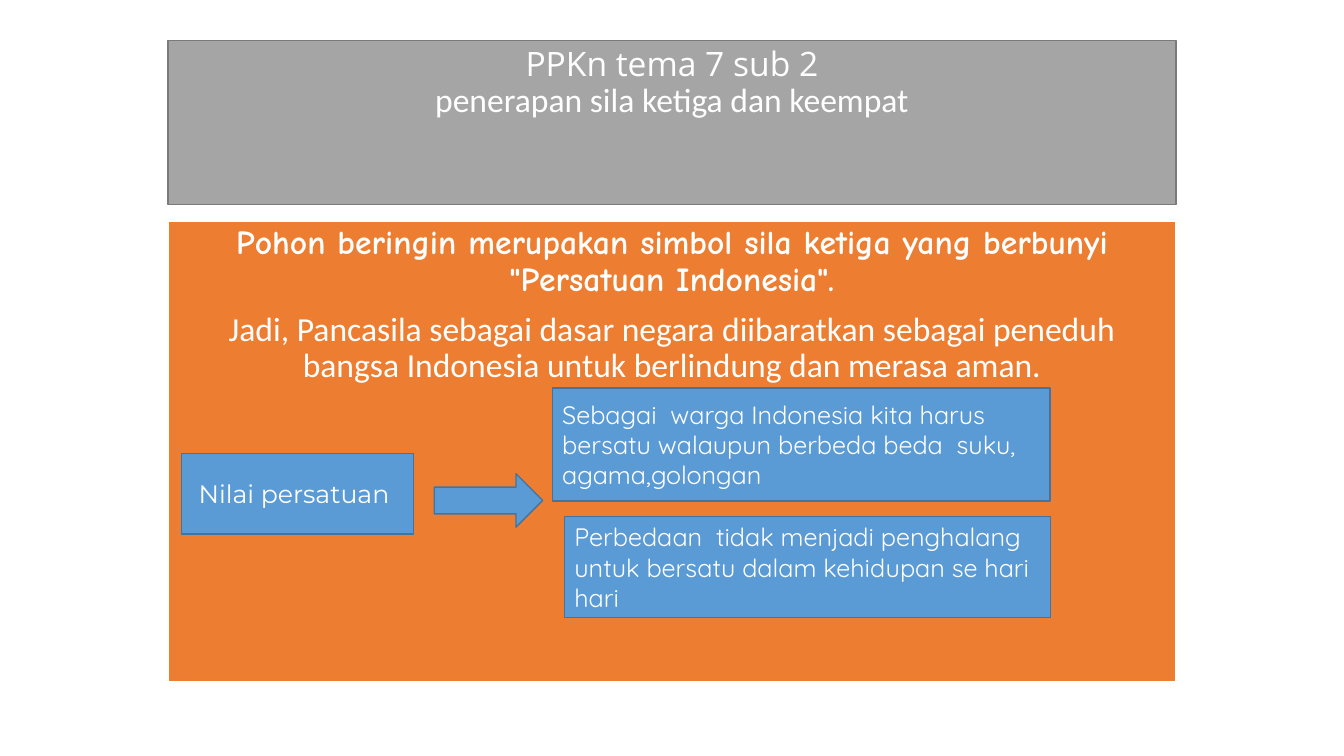
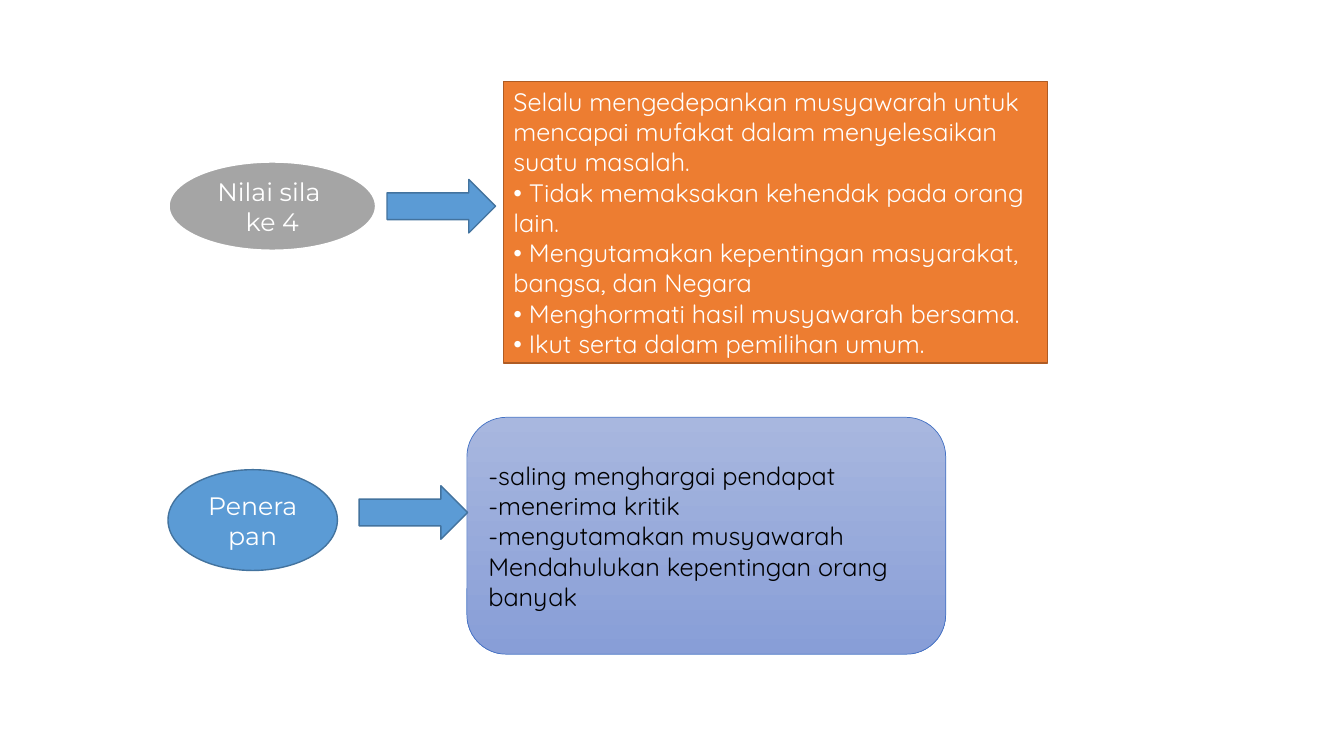
from pptx import Presentation
from pptx.dml.color import RGBColor
from pptx.enum.shapes import MSO_SHAPE
from pptx.enum.text import MSO_ANCHOR, PP_ALIGN
from pptx.util import Pt

RECT = MSO_SHAPE.RECTANGLE
ROUNDED = MSO_SHAPE.ROUNDED_RECTANGLE
ELLIPSE = MSO_SHAPE.OVAL
ARROW = MSO_SHAPE.RIGHT_ARROW
TOP, MIDDLE = MSO_ANCHOR.TOP, MSO_ANCHOR.MIDDLE
LEFT, CENTER = PP_ALIGN.LEFT, PP_ALIGN.CENTER

WHITE = RGBColor(0xFF, 0xFF, 0xFF)
BLACK = RGBColor(0x00, 0x00, 0x00)
GRAY = RGBColor(0xA5, 0xA5, 0xA5)
DARK_GRAY = RGBColor(0x7A, 0x7A, 0x7A)
ORANGE = RGBColor(0xED, 0x7D, 0x31)
DARK_ORANGE = RGBColor(0xAF, 0x5C, 0x24)
BLUE = RGBColor(0x5B, 0x9B, 0xD5)
DARK_BLUE = RGBColor(0x43, 0x73, 0x9E)
INDIGO = RGBColor(0x44, 0x72, 0xC4)
PALE_INDIGO = RGBColor(0xA8, 0xB7, 0xDF)
SOFT_INDIGO = RGBColor(0x88, 0x9E, 0xD7)

HEADING_FONT = "Open Sans"
BODY_FONT = "Calibri"
ACCENT_FONT = "Comic Neue"
LABEL_FONT = "Montserrat"
NOTE_FONT = "Quicksand"


def write(shape, text, font, size=18, color=WHITE, bold=False,
          align=LEFT, spacing=1.0, before=0):
    frame = shape.text_frame
    for line in text.split("\n"):
        first = frame.paragraphs[0]
        paragraph = frame.add_paragraph() if first.runs else first
        paragraph.alignment = align
        paragraph.line_spacing = spacing
        paragraph.space_before = Pt(before)
        run = paragraph.add_run()
        run.text = line
        run.font.name = font
        run.font.size = Pt(size)
        run.font.bold = bold
        run.font.color.rgb = color


class Deck:
    def __init__(self):
        self.presentation = Presentation()
        self.presentation.slide_width = Pt(960)
        self.presentation.slide_height = Pt(540)
        self.slide = None

    def new_slide(self):
        blank = self.presentation.slide_layouts[6]
        self.slide = self.presentation.slides.add_slide(blank)

    def box(self, kind, x, y, width, height, fill=BLUE, line=DARK_BLUE,
            weight=1, anchor=MIDDLE):
        shape = self.slide.shapes.add_shape(
            kind, Pt(x), Pt(y), Pt(width), Pt(height))
        shape.shadow.inherit = False
        shape.fill.solid()
        shape.fill.fore_color.rgb = fill
        shape.line.color.rgb = line
        shape.line.width = Pt(weight)
        shape.text_frame.word_wrap = True
        shape.text_frame.vertical_anchor = anchor
        return shape

    def panel(self, y, height, fill, line, weight):
        return self.box(RECT, 120, y, 720, height, fill, line, weight, TOP)

    def label(self, kind, text, x, y, width, height, **style):
        shape = self.box(kind, x, y, width, height, **style)
        write(shape, text, LABEL_FONT, align=CENTER)

    def note(self, text, x, y, width, height, **style):
        write(self.box(RECT, x, y, width, height, **style), text, NOTE_FONT)

    def gradient_note(self, text, x, y, width, height, top, bottom, line):
        shape = self.box(ROUNDED, x, y, width, height, line=line, weight=0.5)
        shape.fill.gradient()
        shape.fill.gradient_angle = 270
        for stop, color in zip(shape.fill.gradient_stops, (top, bottom)):
            stop.color.rgb = color
        write(shape, text, NOTE_FONT, color=BLACK)

    def arrow(self, x, y):
        self.box(ARROW, x, y, 77.5, 38.2)


deck = Deck()
large = {"size": 24, "align": CENTER, "spacing": 0.9}

deck.new_slide()
title = deck.panel(28.8, 117.4, GRAY, DARK_GRAY, 1)
title.text_frame.margin_top = Pt(5)
write(title, "PPKn tema 7 sub 2", HEADING_FONT, **large)
write(title, "penerapan sila ketiga dan keempat", BODY_FONT, **large)

symbol = deck.panel(157.7, 329.8, ORANGE, WHITE, 1.5)
write(symbol, "Pohon beringin merupakan simbol sila ketiga yang berbunyi "
      "\"Persatuan Indonesia\".", ACCENT_FONT, bold=True, before=10, **large)
write(symbol, "Jadi, Pancasila sebagai dasar negara diibaratkan sebagai peneduh "
      "bangsa Indonesia untuk berlindung dan merasa aman.",
      BODY_FONT, before=10, **large)

deck.label(RECT, "Nilai persatuan ", 129.6, 324, 165.6, 57.6)
deck.note("Sebagai  warga Indonesia kita harus bersatu walaupun berbeda beda  "
          "suku, agama,golongan", 394.5, 277.2, 355.7, 80.6)
deck.note("Perbedaan  tidak menjadi penghalang untuk bersatu dalam kehidupan "
          "se hari  hari", 403.2, 369.1, 347, 72)
deck.arrow(310.2, 338.4)

deck.new_slide()
deck.label(ELLIPSE, "Nilai sila \nke 4", 120.5, 115.5, 148, 63.5,
           fill=GRAY, line=WHITE, weight=1.5)
deck.note("Selalu mengedepankan musyawarah untuk mencapai mufakat dalam "
          "menyelesaikan suatu masalah.\n"
          "• Tidak memaksakan kehendak pada orang lain.\n"
          "• Mengutamakan kepentingan masyarakat, bangsa, dan Negara\n"
          "• Menghormati hasil musyawarah bersama.\n"
          "• Ikut serta dalam pemilihan umum.",
          359.7, 58.3, 388.8, 200.9, fill=ORANGE, line=DARK_ORANGE)
deck.label(ELLIPSE, "Penera pan", 120, 335.5, 121, 72)
deck.gradient_note("-saling menghargai pendapat\n"
                   "-menerima kritik\n"
                   "-mengutamakan musyawarah\n"
                   "Mendahulukan kepentingan orang banyak",
                   333.5, 298.1, 342, 169.2, PALE_INDIGO, SOFT_INDIGO, INDIGO)
deck.arrow(276.5, 128.2)
deck.arrow(256.5, 347)

deck.presentation.save("out.pptx")
